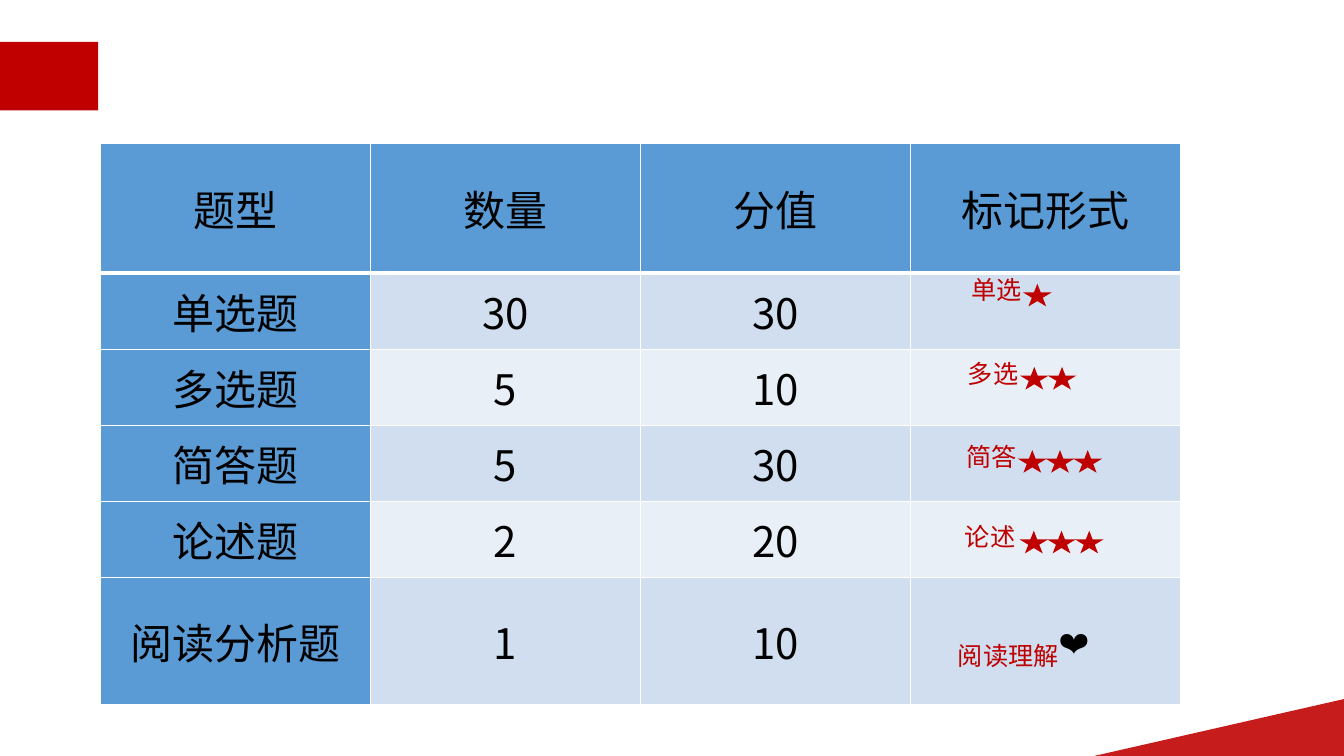
from dataclasses import dataclass

from lxml.etree import SubElement
from pptx import Presentation
from pptx.dml.color import RGBColor
from pptx.enum.shapes import MSO_SHAPE as Preset
from pptx.enum.text import MSO_ANCHOR as Anchor, PP_ALIGN as Align
from pptx.oxml import parse_xml
from pptx.oxml.ns import nsdecls, qn
from pptx.util import Pt

PX = 9144


@dataclass(frozen=True)
class Theme:
    banner: str = "C00000"
    mark: str = "BE0000"
    header: str = "5B9BD5"
    odd_row: str = "D0DEEF"
    even_row: str = "E9EFF7"
    rule: str = "FFFFFF"
    ink: str = "000000"
    table_font: str = "Noto Sans CJK SC"
    label_font: str = "Calibri"
    table_size: int = 60
    heart_size: int = 46
    label_size: int = 36
    rule_width: int = 2
    header_rule_width: int = 6


THEME = Theme()

QUESTION_ROWS = [
    ("题型", "数量", "分值", "标记形式"),
    ("单选题", "30", "30", ""),
    ("多选题", "5", "10", ""),
    ("简答题", "5", "30", ""),
    ("论述题", "2", "20", ""),
    ("阅读分析题", "1", "10", "❤️"),
]
ROW_HEIGHTS = [257, 151, 151, 151, 151, 253]
COLUMN_WIDTH = 536
HEART_INDENT = 112

MARKS = [
    ("单选", 1917, 540, 121, 2030, 1),
    ("多选", 1911, 705, 121, 2024, 2),
    ("简答", 1908, 870, 121, 2020, 3),
    ("论述", 1905, 1030, 121, 2023, 3),
    ("阅读理解", 1891, 1266, 221, 0, 0),
]
STAR_STEP = 55
STAR_DROP = 23


def box(*lengths):
    return [length * PX for length in lengths]


def paint(shape, color):
    shape.shadow.inherit = False
    shape.fill.solid()
    shape.fill.fore_color.rgb = RGBColor.from_string(color)
    shape.line.fill.background()


def style_text(paragraph, font, size, color):
    for run in paragraph.runs:
        run.font.name = font
        run.font.size = Pt(size)
        run.font.color.rgb = RGBColor.from_string(color)
        SubElement(run.font._element, qn("a:ea"), typeface=font)


def add_preset(slide, preset, place, color):
    paint(slide.shapes.add_shape(preset, *box(*place)), color)


def add_corner(slide):
    builder = slide.shapes.build_freeform(2667, 1503, scale=PX)
    builder.add_line_segments([(2667, 1387), (2158, 1503)], close=True)
    corner = builder.convert_to_shape()
    paint(corner, THEME.banner)
    color = corner.fill._xPr.find(qn("a:solidFill"))[0]
    SubElement(color, qn("a:alpha"), val="89000")


def set_borders(cell, row):
    widths = dict.fromkeys("LRTB", THEME.rule_width)
    if row == 0:
        widths["B"] = THEME.header_rule_width
    elif row == 1:
        widths["T"] = THEME.header_rule_width
    properties = cell._tc.get_or_add_tcPr()
    for position, (side, width) in enumerate(widths.items()):
        properties.insert(position, parse_xml(
            f'<a:ln{side} {nsdecls("a")} w="{Pt(width)}"><a:solidFill>'
            f'<a:srgbClr val="{THEME.rule}"/></a:solidFill></a:ln{side}>'))


def cell_color(row, column):
    if row == 0 or column == 0:
        return THEME.header
    return THEME.odd_row if row % 2 else THEME.even_row


def fill_cell(cell, text, row, column):
    is_heart = row > 0 and column == 3
    cell.margin_left = HEART_INDENT * PX if is_heart else 0
    cell.margin_right = cell.margin_top = cell.margin_bottom = 0
    cell.vertical_anchor = Anchor.MIDDLE
    cell.fill.solid()
    cell.fill.fore_color.rgb = RGBColor.from_string(cell_color(row, column))
    set_borders(cell, row)
    cell.text = text
    paragraph = cell.text_frame.paragraphs[0]
    paragraph.alignment = Align.CENTER
    size = THEME.heart_size if is_heart else THEME.table_size
    style_text(paragraph, THEME.table_font, size, THEME.ink)


def add_question_table(slide):
    columns = len(QUESTION_ROWS[0])
    place = box(199, 285, COLUMN_WIDTH * columns, sum(ROW_HEIGHTS))
    table = slide.shapes.add_table(len(QUESTION_ROWS), columns, *place).table
    table.horz_banding = False
    table.first_row = False
    for column in table.columns:
        column.width = COLUMN_WIDTH * PX
    for row, (texts, height) in enumerate(zip(QUESTION_ROWS, ROW_HEIGHTS)):
        table.rows[row].height = height * PX
        for column, text in enumerate(texts):
            fill_cell(table.cell(row, column), text, row, column)


def add_mark(slide, text, left, top, width, star_left, stars):
    label = slide.shapes.add_textbox(*box(left, top, width, 89)).text_frame
    label.word_wrap = False
    label.text = text
    style_text(label.paragraphs[0], THEME.label_font, THEME.label_size, THEME.mark)
    for index in range(stars):
        place = (star_left + index * STAR_STEP, top + STAR_DROP, 57, 45)
        add_preset(slide, Preset.STAR_5_POINT, place, THEME.mark)


def main():
    deck = Presentation()
    deck.slide_width, deck.slide_height = box(2667, 1500)
    slide = deck.slides.add_slide(deck.slide_layouts[6])
    add_corner(slide)
    add_preset(slide, Preset.RECTANGLE, (0, 83, 195, 136), THEME.banner)
    add_question_table(slide)
    for mark in MARKS:
        add_mark(slide, *mark)
    deck.save("out.pptx")


if __name__ == "__main__":
    main()
